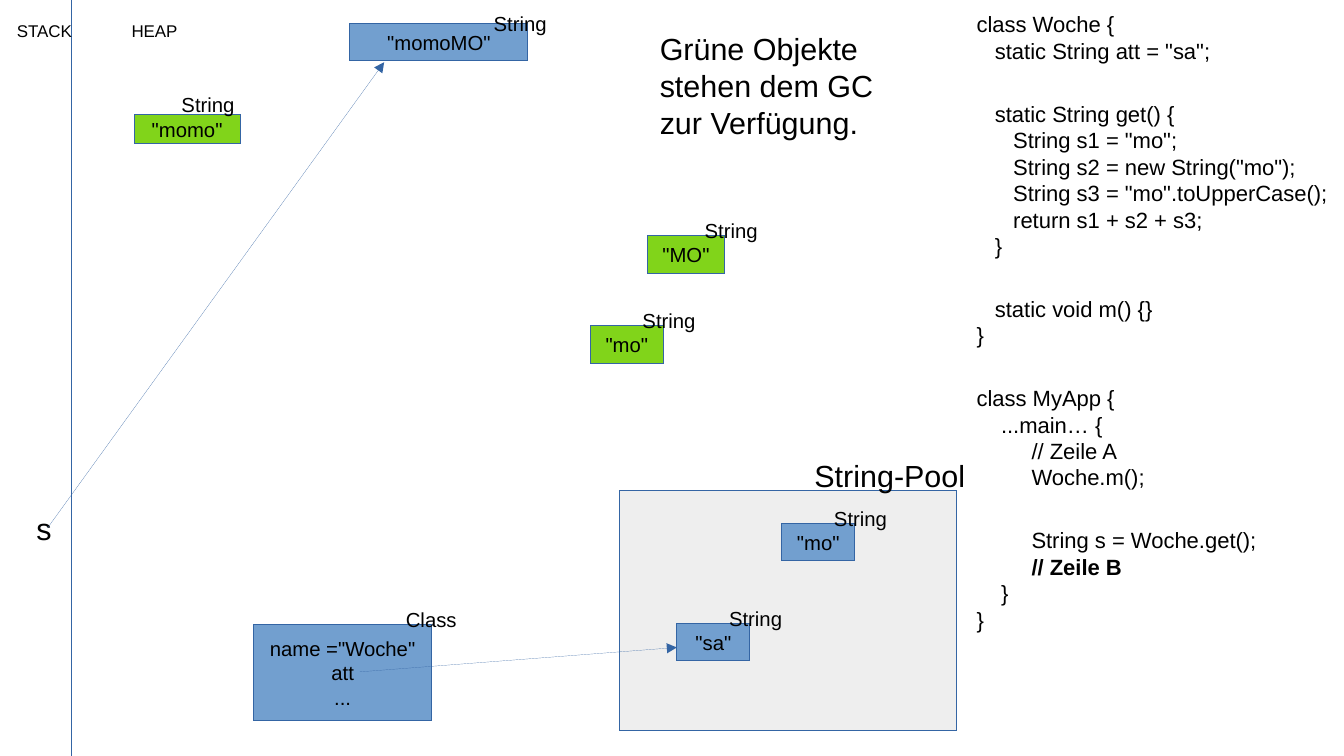
from lxml import etree
from pptx import Presentation, util as u
from pptx.dml.color import RGBColor
from pptx.enum import shapes, text
from pptx.oxml.ns import qn

BLUE, GREEN, GREY, EDGE, INK = "729FCF", "81D41A", "EEEEEE", "3465A4", "000000"
STEP = 0.05  # width of one column of code indent
GAP = 21.5  # points between blocks of code

# (indent columns, text, starts a new block)
CODE = [
    (0, "class Woche {", False),
    (3, 'static String att = "sa";', False),
    (3, "static String get() {", True),
    (6, 'String s1 = "mo";', False),
    (6, 'String s2 = new String("mo");', False),
    (6, 'String s3 = "mo".toUpperCase();', False),
    (6, "return s1 + s2 + s3;", False),
    (3, "}", False),
    (3, "static void m() {}", True),
    (0, "}", False),
    (0, "class MyApp {", True),
    (4, "...main… {", False),
    (9, "// Zeile A", False),
    (9, "Woche.m();", False),
    (9, "String s = Woche.get();", True),
    (9, "// Zeile B", False),
    (4, "}", False),
    (0, "}", False),
]


def color(hexa):
    return RGBColor.from_string(hexa)


def place(shape, box):
    for name, val in zip(("left", "top", "width", "height"), box):
        setattr(shape, name, u.Inches(val))


def write(shape, lines, size, align="LEFT", anchor="TOP", right=0, **more):
    frame = shape.text_frame
    look = dict(margin_left=u.Inches(0.1), margin_right=u.Inches(right),
                margin_top=u.Inches(0.05), margin_bottom=u.Inches(0.05),
                vertical_anchor=getattr(text.MSO_ANCHOR, anchor), **more)
    for name, val in look.items():
        setattr(frame, name, val)
    frame.text = "\n".join(lines)
    for para in frame.paragraphs:
        para.alignment = getattr(text.PP_ALIGN, align)
        for run in para.runs:
            run.font.name, run.font.size = "Arial", u.Pt(size)
            run.font.color.rgb = color(INK)
    return frame


def label(slide, box, lines, size):
    shape = slide.shapes.add_textbox(*map(u.Inches, box))
    return write(shape, lines, size, word_wrap=False,
                 auto_size=text.MSO_AUTO_SIZE.SHAPE_TO_FIT_TEXT)


def hair(shape):
    """Draw the outline as thin as possible; a width of 0 must be written out."""
    shape.line.color.rgb = color(EDGE)
    edge = shape.line._get_or_add_ln()
    edge.set("w", "0")
    return edge


def rect(slide, box, fill):
    shape = slide.shapes.add_shape(shapes.MSO_SHAPE.RECTANGLE, *map(u.Inches, box))
    shape.shadow.inherit = False
    shape.fill.solid()
    shape.fill.fore_color.rgb = color(fill)
    hair(shape)
    return shape


def item(slide, box, lines, fill, kind="String", dx=-0.27, dy=-0.19):
    """Object box with its type name at the top right corner, shifted by dx, dy."""
    write(rect(slide, box, fill), lines, 12, "CENTER", "MIDDLE", 0.1, word_wrap=True)
    left, top, wide, _ = box
    label(slide, (left + wide + dx, top + dy, 0.63, 0.29), [kind], 12)


def line(slide, start, end, arrow=False):
    link = slide.shapes.add_connector(
        shapes.MSO_CONNECTOR.STRAIGHT, *map(u.Inches, start + end))
    edge = hair(link)
    if arrow:
        etree.SubElement(edge, qn("a:tailEnd"), type="triangle")
    etree.SubElement(link._element.spPr, qn("a:effectLst"))


def code(slide, box):
    frame = label(slide, box, [row[1] for row in CODE], 13)
    for para, (cols, words, block) in zip(frame.paragraphs, CODE):
        para._p.get_or_add_pPr().set("marL", str(u.Inches(cols * STEP)))
        para.space_before = u.Pt(GAP if block else 0)
        para.runs[0].font.bold = words == "// Zeile B"


def stack(slide, box):
    left, top, wide, high = box
    edge = left + wide
    line(slide, (edge, top), (edge, top + high))
    label(slide, (left + 0.04, top + 0.12, 0.78, 0.3), ["STACK"], 10)
    label(slide, (left + 0.2, top + 4.13, 0.32, 0.38), ["s"], 18)


def pool(slide, box):
    left, top, wide, _ = box
    rect(slide, box, GREY)
    label(slide, (left + wide - 1.26, top - 0.32, 1.43, 0.38), ["String-Pool"], 18)
    for word, dx, dy in (('"sa"', 0.47, 1.09), ('"mo"', 1.33, 0.27)):
        item(slide, (left + dx, top + dy, 0.6, 0.31), [word], BLUE)


def heap(slide, box):
    left, top = box[:2]
    label(slide, (left + 0.39, top + 0.12, 0.78, 0.3), ["HEAP"], 10)
    pool(slide, (left + 4.49, top + 4.02, 2.76, 1.97))
    item(slide, (left + 1.49, top + 5.12, 1.46, 0.79),
         ['name ="Woche"', "att", "..."], BLUE, "Class", dx=-0.31)
    item(slide, (left + 4.25, top + 2.67, 0.6, 0.31), ['"mo"'], GREEN)
    item(slide, (left + 4.72, top + 1.93, 0.63, 0.31), ['"MO"'], GREEN, dx=-0.26)
    item(slide, (left + 0.51, top + 0.94, 0.87, 0.24), ['"momo"'], GREEN,
         dx=-0.58, dy=-0.23)
    item(slide, (left + 2.28, top + 0.19, 1.46, 0.31), ['"momoMO"'], BLUE,
         dx=-0.38, dy=-0.15)


def note(slide, box):
    title = slide.shapes.title
    place(title, box)
    write(title, ["Grüne Objekte", "stehen dem GC", "zur Verfügung."], 18,
          word_wrap=False, auto_size=text.MSO_AUTO_SIZE.NONE)


def main():
    deck = Presentation()
    deck.slide_width, deck.slide_height = u.Inches(11.02), u.Inches(6.2)
    slide = deck.slides.add_slide(deck.slide_layouts[5])
    code(slide, (7.91, 0.04, 3.07, 4.85))
    stack(slide, (0, 0, 0.59, 6.2))
    heap(slide, (0.59, 0, 7.32, 6.2))
    note(slide, (5.31, 0.2, 1.95, 0.94))
    line(slide, (2.95, 5.51), (5.55, 5.31), arrow=True)
    line(slide, (0.39, 4.33), (3.15, 0.51), arrow=True)
    deck.save("out.pptx")


if __name__ == "__main__":
    main()
